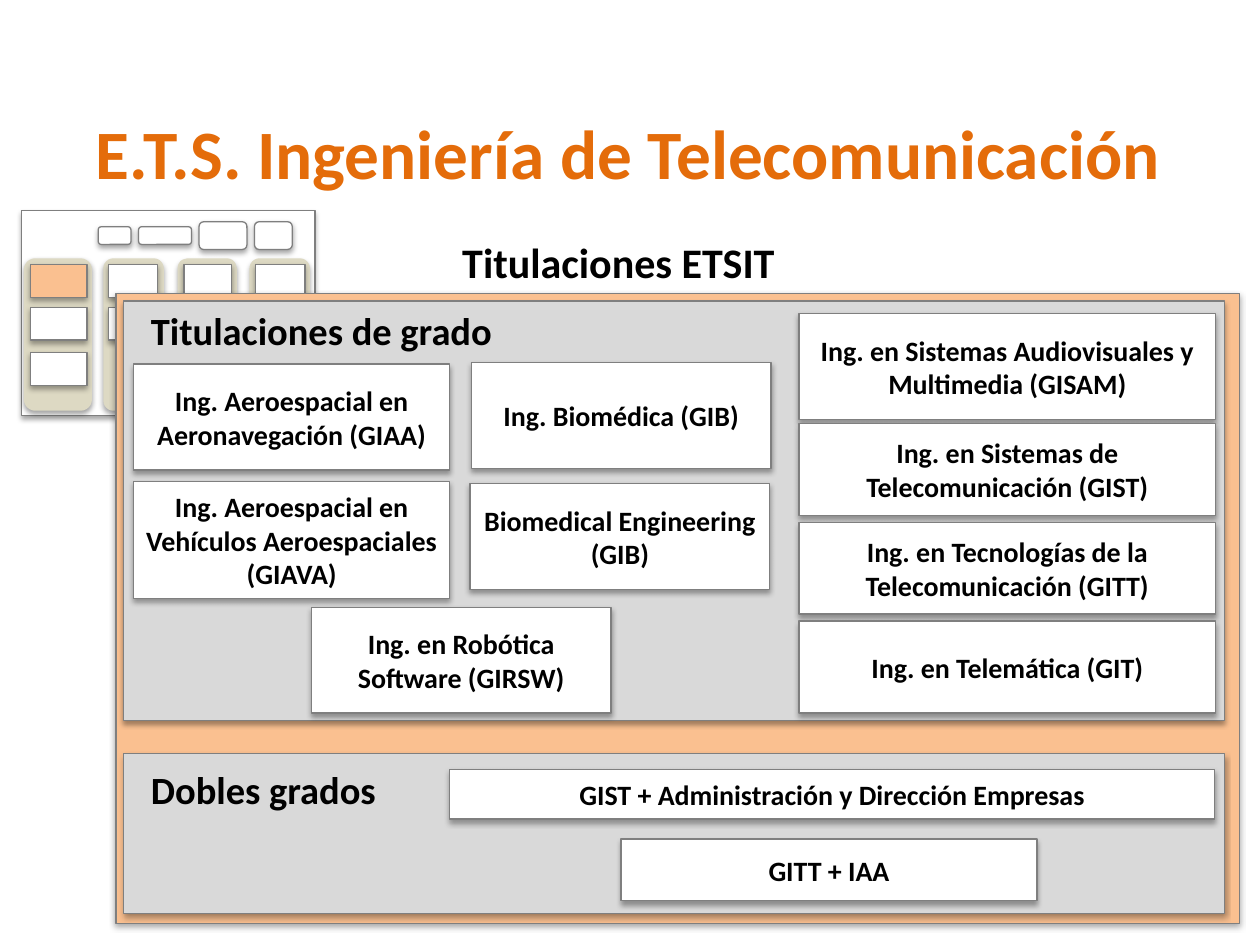
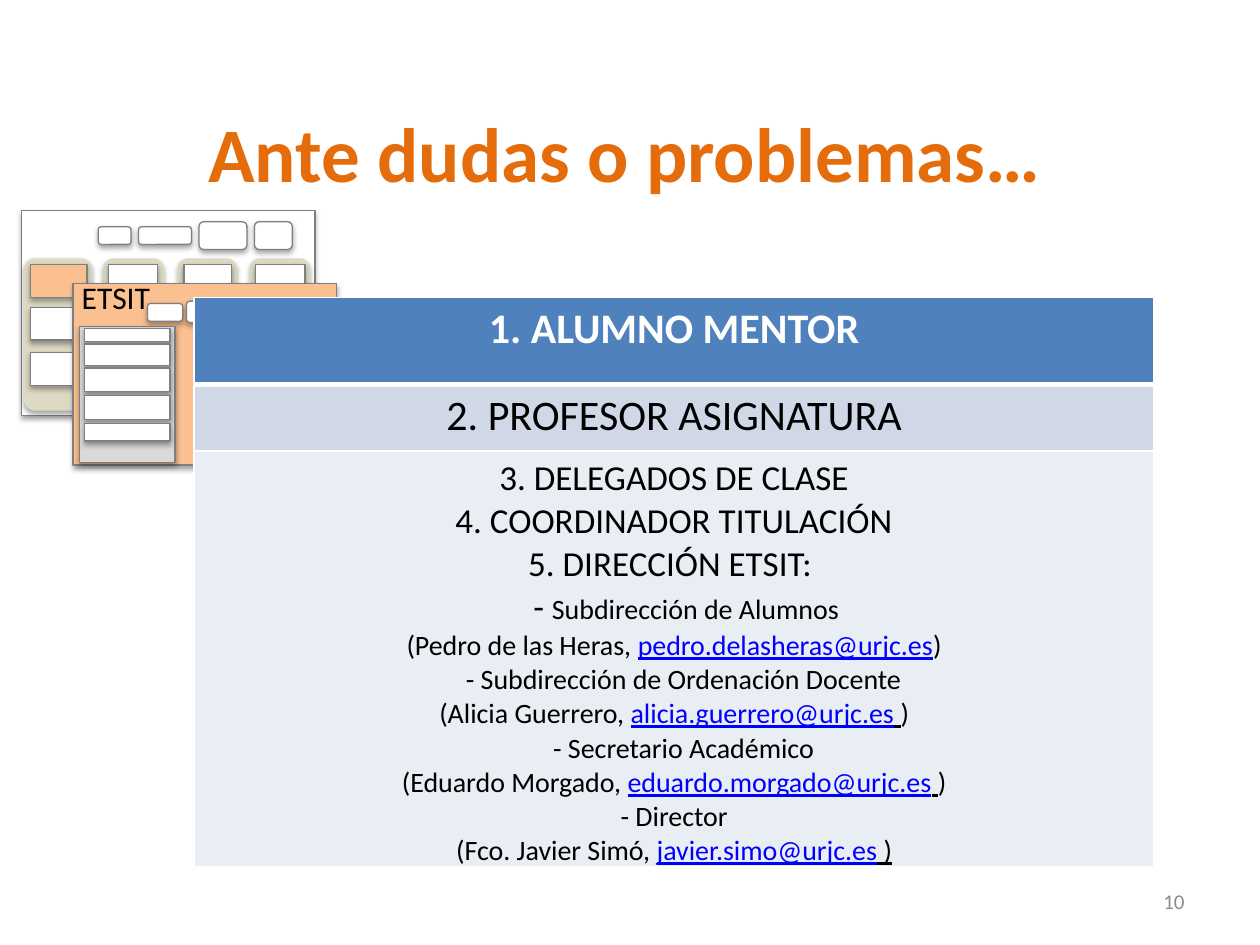
from lxml import etree
from pptx import Presentation
from pptx.dml.color import RGBColor
from pptx.enum.shapes import MSO_SHAPE
from pptx.enum.text import MSO_ANCHOR, PP_ALIGN
from pptx.oxml import parse_xml
from pptx.oxml.ns import nsdecls, qn
from pptx.util import Inches, Pt

RECT, ROUND = MSO_SHAPE.RECTANGLE, MSO_SHAPE.ROUNDED_RECTANGLE
LEFT, CENTER, RIGHT = PP_ALIGN.LEFT, PP_ALIGN.CENTER, PP_ALIGN.RIGHT
TOP, MIDDLE = MSO_ANCHOR.TOP, MSO_ANCHOR.MIDDLE
FONT = "Calibri"
COLORS = {
    "title": "E46C0A", "text": "000000", "white": "FFFFFF", "outline": "7F7F7F",
    "peach": "FAC090", "panel": "D9D9D9", "column": "DDD9C3", "number": "8C8C8C",
    "link": "0000FF", "header": "4F81BD", "band_dark": "D0D8E8", "band_light": "E9EDF4",
}
SHADOW = (f'<a:outerShdw {nsdecls("a")} blurRad="{Pt(3.1)}" dist="{Pt(1.8)}" dir="5400000" '
          'rotWithShape="0"><a:srgbClr val="000000"><a:alpha val="35000"/></a:srgbClr>'
          '</a:outerShdw>')


def write(frame, text, size=16, color="text", bold=False, underline=False, align=CENTER,
          anchor=None, wrap=None, indent=0, same_line=False):
    """Add a run to a text frame, on a new line unless same_line is set."""
    paragraph = frame.paragraphs[-1]
    if paragraph.runs and not same_line:
        paragraph = frame.add_paragraph()
    if not same_line:
        paragraph.alignment = align
    if indent:
        paragraph._p.get_or_add_pPr().set("marL", str(Inches(indent)))
    if anchor is not None:
        frame.vertical_anchor = anchor
    if wrap is not None:
        frame.word_wrap = wrap
    run = paragraph.add_run()
    run.text = text
    font = run.font
    font.name, font.size, font.bold, font.underline = FONT, Pt(size), bold, underline
    font.color.rgb = RGBColor.from_string(COLORS[color])


def add_box(slide, rect, fill="white", kind=RECT, outlined=True, text=None):
    """Add a shadowed box, with a centred bold label if text is given."""
    box = slide.shapes.add_shape(kind, *map(Inches, rect))
    box.fill.solid()
    box.fill.fore_color.rgb = RGBColor.from_string(COLORS[fill])
    if outlined:
        box.line.color.rgb = RGBColor.from_string(COLORS["outline"])
        box.line.width = Pt(0.75)
    else:
        box.line.fill.background()
    box.shadow.inherit = False
    box._element.spPr.find(qn("a:effectLst")).append(parse_xml(SHADOW))
    if text:
        write(box.text_frame, text, bold=True, anchor=MIDDLE, wrap=True)


prs = Presentation()
prs.slide_width, prs.slide_height = Inches(10), Inches(7.5)

# Shared parts: title and small organisation map
slides = []
for title, left, width, size in [("E.T.S. Ingeniería de Telecomunicación", 0.24, 9.49, 39.6),
                                 ("Ante dudas o problemas…", 1.42, 7.08, 44)]:
    slide = prs.slides.add_slide(prs.slide_layouts[6])
    slides.append(slide)
    heading = slide.shapes.add_textbox(Inches(left), Inches(0.58), Inches(width), Inches(1.25))
    write(heading.text_frame, title, size=size, color="title", bold=True,
          anchor=MIDDLE, wrap=True)

    add_box(slide, (0.17, 1.67, 2.33, 1.63))
    for left, width in [(1.98, 0.48), (1.41, 0.47), (0.82, 0.48), (0.19, 0.54)]:
        add_box(slide, (left, 2.05, width, 1.21), "column", ROUND, outlined=False)
    for left, top, width, height in [(0.78, 1.8, 0.26, 0.14), (1.1, 1.8, 0.42, 0.14),
                                     (1.58, 1.76, 0.38, 0.22), (2.02, 1.76, 0.3, 0.22)]:
        add_box(slide, (left, top, width, height), kind=ROUND)
    add_box(slide, (0.24, 2.1, 0.45, 0.26), "peach")
    for left, top, width, height in [(0.86, 2.1, 0.39, 0.26), (0.24, 2.44, 0.45, 0.26),
                                     (0.24, 2.8, 0.45, 0.26), (0.86, 2.44, 0.39, 0.26),
                                     (1.46, 2.1, 0.38, 0.34), (2.03, 2.1, 0.39, 0.26)]:
        add_box(slide, (left, top, width, height))
degrees_slide, help_slide = slides

# Slide 1: panels and their headings
add_box(degrees_slide, (0.92, 2.33, 8.92, 5), "peach")
for top, height in [(2.39, 3.33), (5.98, 1.27)]:
    add_box(degrees_slide, (0.98, top, 8.74, height), "panel")
for text, left, top, width, height, size in [
        ("Titulaciones ETSIT", 3.57, 1.83, 2.71, 0.5, 24),
        ("Titulaciones de grado", 1.1, 2.39, 2.94, 0.47, 22),
        ("Dobles grados", 1.1, 6.03, 2.47, 0.47, 22)]:
    label = degrees_slide.shapes.add_textbox(*map(Inches, (left, top, width, height)))
    write(label.text_frame, text, size=size, bold=True, align=LEFT, anchor=TOP, wrap=False)

# Slide 1: degrees and double degrees
for text, rect in [
        ("Ing. Aeroespacial en Aeronavegación (GIAA)", (1.06, 2.89, 2.51, 0.84)),
        ("Ing. Aeroespacial en Vehículos Aeroespaciales (GIAVA)", (1.06, 3.82, 2.51, 0.93)),
        ("Ing. Biomédica (GIB)", (3.74, 2.88, 2.38, 0.84)),
        ("Biomedical Engineering (GIB)", (3.73, 3.84, 2.38, 0.84)),
        ("Ing. en Robótica Software (GIRSW)", (2.47, 4.82, 2.38, 0.84)),
        ("Ing. en Sistemas Audiovisuales y Multimedia (GISAM)", (6.34, 2.49, 3.31, 0.84)),
        ("GIST + Administración y Dirección Empresas", (3.57, 6.11, 6.07, 0.39)),
        ("GITT + IAA", (4.93, 6.66, 3.3, 0.49))]:
    add_box(degrees_slide, rect, text=text)
for i, text in enumerate(["Ing. en Sistemas de Telecomunicación (GIST)",
                          "Ing. en Tecnologías de la Telecomunicación (GITT)",
                          "Ing. en Telemática (GIT)"]):
    add_box(degrees_slide, (6.34, 3.36 + 0.785 * i, 3.31, 0.73), text=text)

# Slide 2: small map of the school
add_box(help_slide, (0.58, 2.25, 2.09, 1.44), "peach")
add_box(help_slide, (1.17, 2.41, 0.28, 0.14), kind=ROUND)
add_box(help_slide, (1.48, 2.39, 0.37, 0.17), kind=ROUND)
add_box(help_slide, (0.63, 2.59, 0.76, 1.08), "panel")
for top, height in [(2.61, 0.1), (2.73, 0.17), (2.92, 0.19), (3.14, 0.19), (3.36, 0.14)]:
    add_box(help_slide, (0.67, top, 0.68, height))
school = help_slide.shapes.add_textbox(Inches(0.55), Inches(2.16), Inches(0.75), Inches(0.4))
write(school.text_frame, "ETSIT", size=18, align=LEFT, wrap=False)

# Slide 2: page number
number = help_slide.shapes.add_textbox(Inches(7.17), Inches(6.95), Inches(2.33), Inches(0.4))
write(number.text_frame, "10", size=12, color="number", align=RIGHT, anchor=MIDDLE, wrap=True)

# Slide 2: table of contacts
contacts = help_slide.shapes.add_table(3, 1, Inches(1.54), Inches(2.36),
                                       Inches(7.62), Inches(4.52)).table
rows = [(0.69, "header", 1, 3), (0.53, "band_dark", 3, 1), (3.3, "band_light", 1, 1)]
for i, (height, fill, top_line, bottom_line) in enumerate(rows):
    contacts.rows[i].height = Inches(height)
    cell = contacts.cell(i, 0)
    properties = cell._tc.get_or_add_tcPr()
    for side, weight in [("L", 1), ("R", 1), ("T", top_line), ("B", bottom_line)]:
        border = etree.SubElement(properties, qn(f"a:ln{side}"), w=str(Pt(weight)))
        paint = etree.SubElement(border, qn("a:solidFill"))
        etree.SubElement(paint, qn("a:srgbClr"), val=COLORS["white"])
    cell.fill.solid()
    cell.fill.fore_color.rgb = RGBColor.from_string(COLORS[fill])

mentor, teacher, school_staff = [contacts.cell(i, 0).text_frame for i in range(3)]
write(mentor, "1. ALUMNO MENTOR", size=24, color="white", bold=True)
write(teacher, "2. PROFESOR ASIGNATURA", size=24)
for text in ["3. DELEGADOS DE CLASE", "4. COORDINADOR TITULACIÓN", "5. DIRECCIÓN ETSIT: "]:
    write(school_staff, text, size=20)
for dash_size, indent, post, person, email, gap, gap_line, end_line in [
        (20, 0.19, "Subdirección de Alumnos", "Pedro de las Heras",
         "pedro.delasheras@urjc.es", "", False, False),
        (16, 0.15, "Subdirección de Ordenación Docente", "Alicia Guerrero",
         "alicia.guerrero@urjc.es", " ", True, False),
        (16, 0.15, "Secretario Académico", "Eduardo Morgado",
         "eduardo.morgado@urjc.es", " ", True, False),
        (16, 0, "Director", "Fco. Javier Simó", "javier.simo@urjc.es", " ", True, True)]:
    write(school_staff, "- ", size=dash_size, indent=indent)
    write(school_staff, post, same_line=True)
    write(school_staff, f"({person}, ")
    write(school_staff, email, color="link", underline=True, same_line=True)
    if gap:
        write(school_staff, gap, underline=gap_line, same_line=True)
    write(school_staff, ")", underline=end_line, same_line=True)

prs.save("out.pptx")
